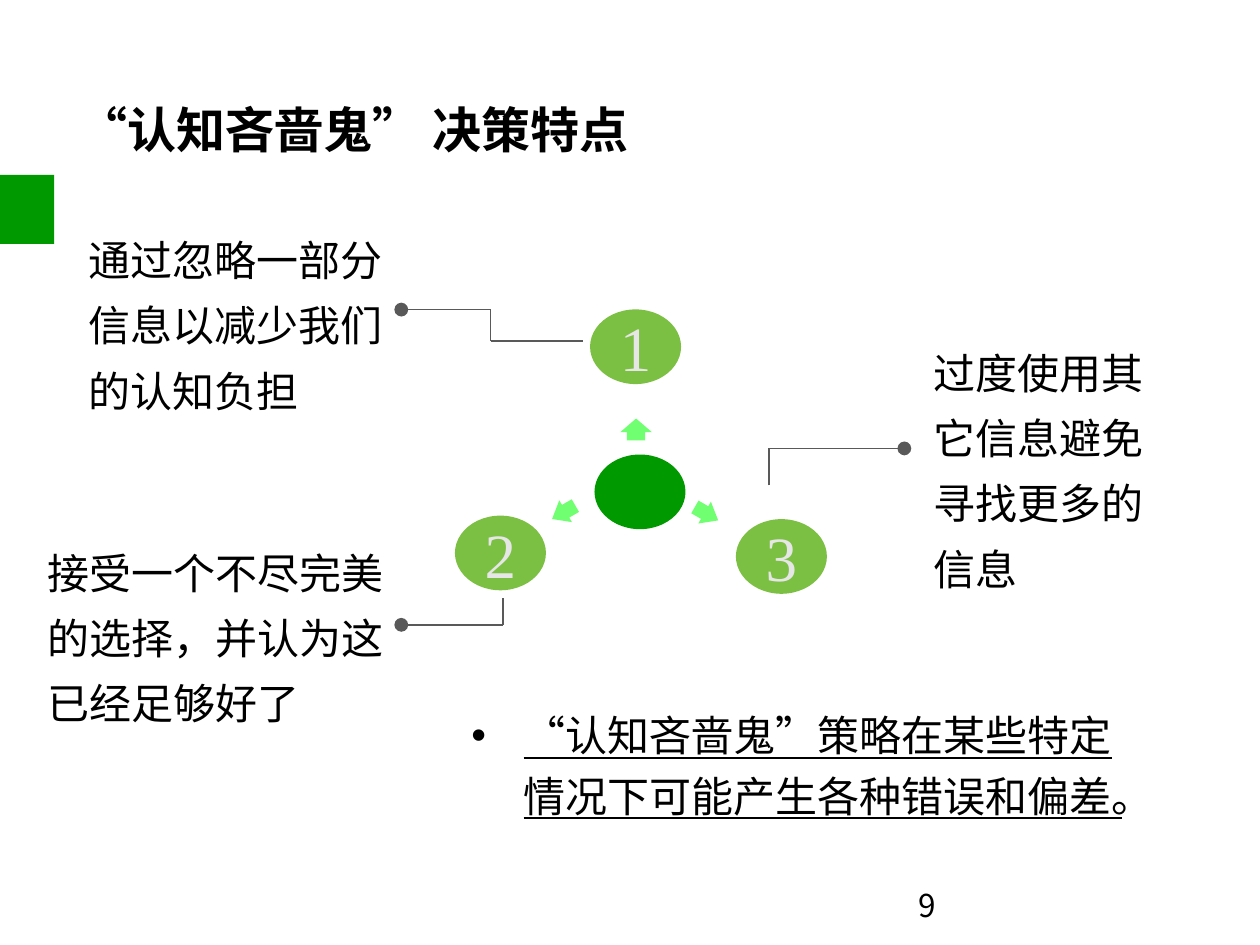
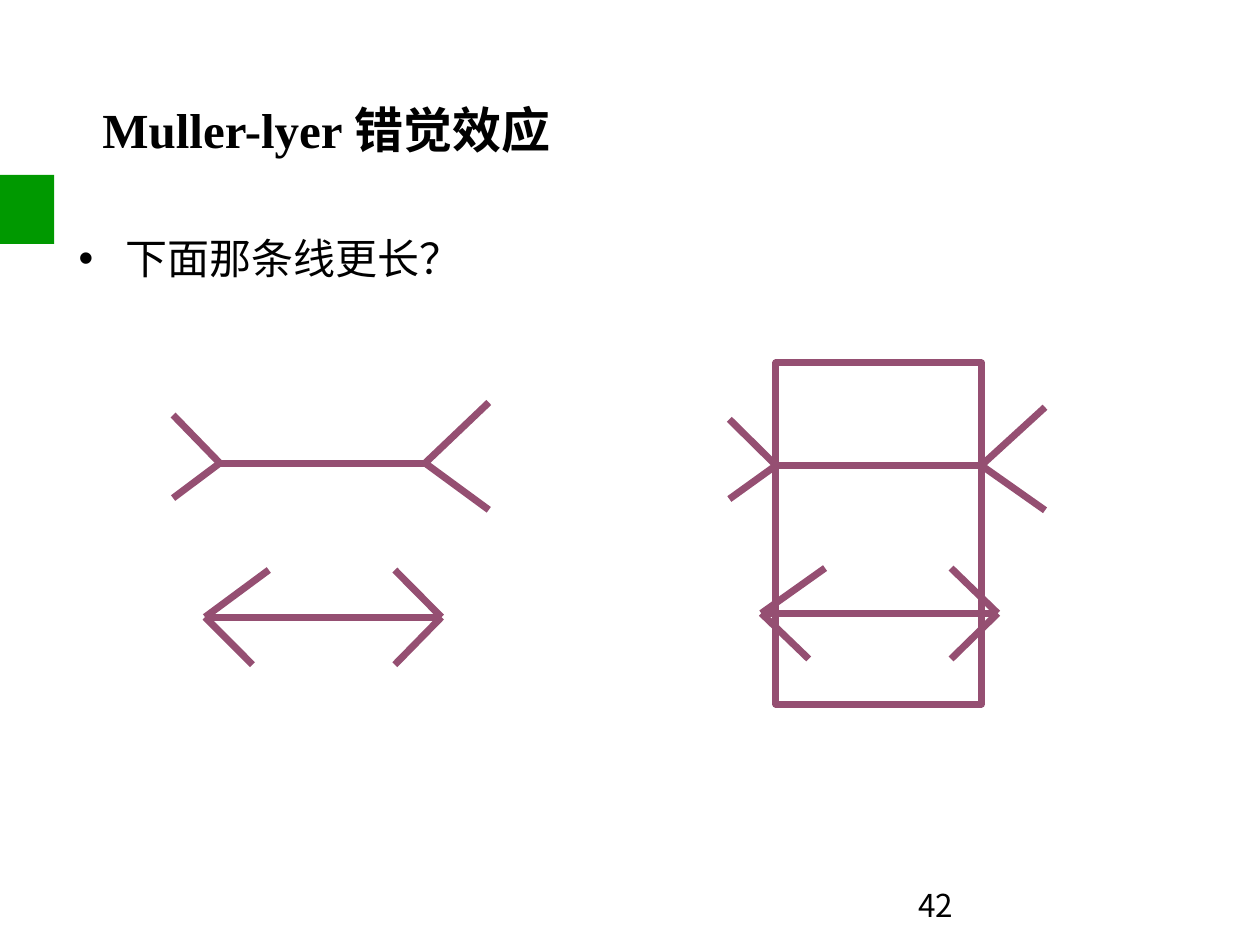
from dataclasses import dataclass
from itertools import pairwise

from lxml.etree import SubElement
from pptx import Presentation
from pptx.dml.color import RGBColor
from pptx.enum.shapes import MSO_CONNECTOR, MSO_SHAPE
from pptx.enum.text import MSO_ANCHOR, MSO_AUTO_SIZE, PP_ALIGN
from pptx.oxml.ns import qn
from pptx.util import Pt

BLACK = RGBColor(0x00, 0x00, 0x00)
GREEN = RGBColor(0x00, 0x99, 0x00)
LEAF = RGBColor(0x7B, 0xC0, 0x43)
MINT = RGBColor(0x70, 0xFF, 0x70)
PALE = RGBColor(0xE7, 0xE6, 0xE6)
GREY = RGBColor(0x59, 0x59, 0x59)
PLUM = RGBColor(0x95, 0x4F, 0x72)
SANS, SERIF = "Noto Sans CJK SC", "Times New Roman"


@dataclass(frozen=True)
class Node:
    label: str
    x: float
    y: float
    fill: RGBColor = LEAF


@dataclass(frozen=True)
class Arrow:
    x: float
    y: float
    w: float
    h: float
    rotation: float


@dataclass(frozen=True)
class Note:
    text: str
    x: float
    y: float
    w: float
    h: float
    leader: tuple[tuple[float, float], ...]


NODES = [
    Node("3", 315.4, 222.5),
    Node("2", 195, 221),
    Node("1", 252.9, 132.6),
    Node("", 254.8, 194.8, GREEN),
]
ARROWS = [
    Arrow(236.2, 213.8, 10.8, 11.5, 240),
    Arrow(265.9, 179.4, 13.5, 9.4, 0),
    Arrow(297.4, 214.4, 10.8, 11.5, 120),
]
NOTES = [
    Note("通过忽略一部分信息以减少我们的认知负担", 31, 88.6, 149, 88.6,
         ((249.8, 146.2), (210.3, 146.2), (210.3, 132.7), (172, 132.7))),
    Note("接受一个不尽完美的选择，并认为这已经足够好了", 13.2, 222.5, 161, 85,
         ((215.5, 256.5), (215.5, 267.8), (172, 267.8))),
    Note("过度使用其它信息避免寻找更多的信息", 393.1, 136.8, 106.6, 116.6,
         ((329.6, 208), (329.6, 192.2), (387.6, 192.2))),
]

# Illusion strokes: x1, y1, x2, y2 from the left fin tips, at shaft height
STROKES = [
    (13.7, 66, 115, 66), (20, 0, 108, 0),
    (108, 0, 135.3, -26), (108, 0, 135.3, 20),
    (20, 0, 0, -20.6), (20, 0, 0, 15),
    (115, 66, 95, 45.8), (115, 66, 95, 86.4),
    (13.7, 66, 41, 45.8), (13.7, 66, 34, 86.4),
]


def write(p, text: str, *, size: float, font: str = SANS, color: RGBColor = BLACK,
          bold: bool = False, underline: bool = False) -> None:
    r = p.add_run()
    r.text = text
    f = r.font
    f.size, f.name, f.bold, f.underline = Pt(size), font, bold, underline
    f.color.rgb = color
    SubElement(r._r.get_or_add_rPr(), qn("a:ea"), typeface=font)


def add_text(s, text: str, x: float, y: float, w: float, h: float, *,
             spacing: float, indent: float = 0, size: float = 18, **style) -> None:
    tf = s.shapes.add_textbox(Pt(x), Pt(y), Pt(w), Pt(h)).text_frame
    tf.word_wrap = True
    p = tf.paragraphs[0]
    p.line_spacing = Pt(spacing)
    if indent:
        pPr = p._p.get_or_add_pPr()
        pPr.set("marL", str(Pt(indent)))
        pPr.set("indent", str(-Pt(indent)))
        SubElement(pPr, qn("a:buFont"), typeface="Arial")
        SubElement(pPr, qn("a:buChar"), char="•")
    write(p, text, size=size, **style)


def add_shape(s, kind: MSO_SHAPE, x: float, y: float, w: float, h: float,
              fill: RGBColor | None = None, line: RGBColor | None = None):
    sp = s.shapes.add_shape(kind, Pt(x), Pt(y), Pt(w), Pt(h))
    sp.shadow.inherit = False
    if fill is None:
        sp.fill.background()
    else:
        sp.fill.solid()
        sp.fill.fore_color.rgb = fill
    if line is None:
        sp.line.fill.background()
    else:
        sp.line.color.rgb, sp.line.width = line, Pt(3)
    return sp


def add_line(s, x1: float, y1: float, x2: float, y2: float,
             color: RGBColor, width: float, dot: bool = False) -> None:
    c = s.shapes.add_connector(MSO_CONNECTOR.STRAIGHT, Pt(x1), Pt(y1), Pt(x2), Pt(y2))
    c.line.color.rgb, c.line.width = color, Pt(width)
    if dot:
        SubElement(c.line._get_or_add_ln(), qn("a:tailEnd"), type="oval")
    SubElement(c._element.spPr, qn("a:effectLst"))


def add_leader(s, points: tuple[tuple[float, float], ...]) -> None:
    for start, end in pairwise(points):
        add_line(s, *start, *end, GREY, 0.75, dot=end == points[-1])


def add_illusion(s, x: float, y: float, stretch: float = 1) -> None:
    for x1, y1, x2, y2 in STROKES:
        add_line(s, x + x1, y + y1 * stretch, x + x2, y + y2 * stretch, PLUM, 3)


def new_slide(prs, title: list[tuple[str, str]], title_x: float, number: int):
    """Add a slide with its title, green band and page number."""
    s = prs.slides.add_slide(prs.slide_layouts[5])
    sp = s.shapes.title
    sp.left, sp.top, sp.width, sp.height = Pt(title_x), Pt(37.4), Pt(486), Pt(67.7)
    tf = sp.text_frame
    tf.auto_size, tf.vertical_anchor = MSO_AUTO_SIZE.NONE, MSO_ANCHOR.TOP
    p = tf.paragraphs[0]
    p.alignment, p.line_spacing = PP_ALIGN.LEFT, Pt(27)
    for text, font in title:
        write(p, text, size=21, font=font, bold=True)
    add_shape(s, MSO_SHAPE.RECTANGLE, 0, 75, 23.3, 29.6, GREEN)
    add_text(s, str(number), 386.6, 375.1, 126, 21.6, size=13.5, spacing=17.5)
    return s


def build_features(prs) -> None:
    s = new_slide(prs, [("“认知吝啬鬼” 决策特点", SANS)], 26.6, 9)
    # Numbered circles around the hub
    for n in NODES:
        sp = add_shape(s, MSO_SHAPE.OVAL, n.x, n.y, 39, 32, n.fill)
        if n.label:
            tf = sp.text_frame
            tf.margin_left = tf.margin_right = tf.margin_top = tf.margin_bottom = 0
            tf.vertical_anchor = MSO_ANCHOR.MIDDLE
            p = tf.paragraphs[0]
            p.alignment = PP_ALIGN.CENTER
            write(p, n.label, size=27, font=SERIF, color=PALE)
    # Arrows from the hub
    for a in ARROWS:
        sp = add_shape(s, MSO_SHAPE.UP_ARROW, a.x, a.y, a.w, a.h, MINT)
        sp.adjustments[0], sp.adjustments[1] = 0.58, 0.62
        sp.rotation = a.rotation
    # Notes with their leaders
    for n in NOTES:
        add_leader(s, n.leader)
        add_text(s, n.text, n.x, n.y + 2, n.w, n.h, spacing=28)
    add_text(s, "“认知吝啬鬼”策略在某些特定情况下可能产生各种错误和偏差。",
             195, 296.5, 293, 60, spacing=25.8, indent=22.3, underline=True)


def build_illusion(prs) -> None:
    s = new_slide(prs, [("Muller-lyer ", SERIF), ("错觉效应", SANS)], 36.7, 42)
    add_text(s, "下面那条线更长？", 26.6, 94.3, 486, 267, spacing=23.4, indent=20.2)
    # Bare figure, then the same figure with a measuring frame
    add_illusion(s, 74.2, 198.5)
    add_shape(s, MSO_SHAPE.RECTANGLE, 332.6, 155.6, 88, 146.2, line=PLUM)
    add_illusion(s, 312.6, 199.5, stretch=0.96)


def main() -> None:
    prs = Presentation()
    prs.slide_width, prs.slide_height = Pt(540), Pt(405)
    build_features(prs)
    build_illusion(prs)
    prs.save("out.pptx")


if __name__ == "__main__":
    main()
